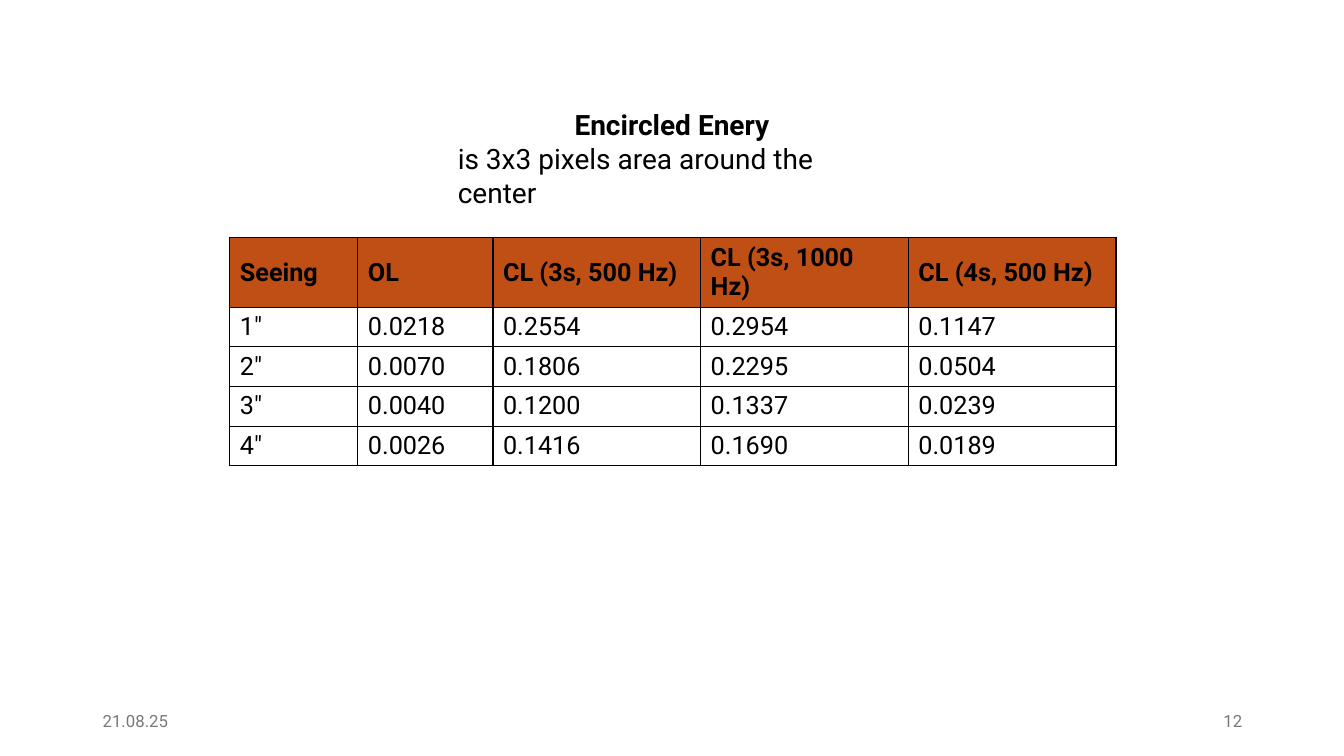
from lxml import etree
from pptx import Presentation
from pptx.dml.color import RGBColor
from pptx.enum.text import MSO_ANCHOR as Anchor, MSO_AUTO_SIZE as AutoSize, PP_ALIGN as Align
from pptx.oxml.ns import qn
from pptx.util import Inches, Pt

FONT = "Roboto"
COLOURS = {"text": "000000", "footer": "797979", "header": "C04F15", "border": "000000"}
COLUMN_WIDTHS = [1.27, 1.34, 2.06, 2.06, 2.06]
HEADER_HEIGHT, ROW_HEIGHT = 0.68, 0.39
ENERGY_ROWS = [
    ["Seeing", "OL", "CL (3s, 500 Hz)", "CL (3s, 1000 Hz)", "CL (4s, 500 Hz)"],
    ["1″", "0.0218", "0.2554", "0.2954", "0.1147"],
    ["2″", "0.0070", "0.1806", "0.2295", "0.0504"],
    ["3″", "0.0040", "0.1200", "0.1337", "0.0239"],
    ["4″", "0.0026", "0.1416", "0.1690", "0.0189"],
]


def colour(name):
    return RGBColor.from_string(COLOURS[name])


def style_para(para, size, bold=False, tint="text", align=Align.LEFT):
    para.alignment = align
    para.font.name = FONT
    para.font.size = Pt(size)
    para.font.bold = bold
    para.font.color.rgb = colour(tint)


def add_heading(page, title, subtitle):
    box = page.shapes.title
    box.left, box.top, box.width, box.height = (Inches(n) for n in (4.44, 1.02, 4.45, 0.77))
    frame = box.text_frame
    frame.word_wrap = True
    frame.auto_size = AutoSize.NONE
    frame.vertical_anchor = Anchor.TOP
    frame.text = f"{title}\n{subtitle}"
    style_para(frame.paragraphs[0], 20, bold=True, align=Align.CENTER)
    style_para(frame.paragraphs[1], 20)


def add_footer(page, left, text, align):
    box = page.shapes.add_textbox(Inches(left), Inches(6.95), Inches(3), Inches(0.4))
    frame = box.text_frame
    frame.word_wrap = True
    frame.vertical_anchor = Anchor.MIDDLE
    frame.text = text
    style_para(frame.paragraphs[0], 12, tint="footer", align=align)


def add_borders(cell):
    properties = cell._tc.get_or_add_tcPr()
    for position, side in enumerate(("a:lnL", "a:lnR", "a:lnT", "a:lnB")):
        line = etree.Element(qn(side), w=str(Pt(1)))
        fill = etree.SubElement(line, qn("a:solidFill"))
        etree.SubElement(fill, qn("a:srgbClr"), val=COLOURS["border"])
        properties.insert(position, line)


def fill_cell(cell, text, is_header):
    cell.text = text
    cell.vertical_anchor = Anchor.MIDDLE
    style_para(cell.text_frame.paragraphs[0], 18, bold=is_header)
    if is_header:
        cell.fill.solid()
        cell.fill.fore_color.rgb = colour("header")
    else:
        cell.fill.background()
    add_borders(cell)


def add_energy_table(page):
    heights = [HEADER_HEIGHT] + [ROW_HEIGHT] * (len(ENERGY_ROWS) - 1)
    table = page.shapes.add_table(
        len(ENERGY_ROWS), len(COLUMN_WIDTHS), Inches(2.28), Inches(2.36),
        Inches(sum(COLUMN_WIDTHS)), Inches(sum(heights)),
    ).table
    table.horz_banding = False
    for column, width in zip(table.columns, COLUMN_WIDTHS):
        column.width = Inches(width)
    for index, (row, height, values) in enumerate(zip(table.rows, heights, ENERGY_ROWS)):
        row.height = Inches(height)
        for cell, value in zip(row.cells, values):
            fill_cell(cell, value, index == 0)


def main():
    deck = Presentation()
    deck.slide_width, deck.slide_height = Inches(13.33), Inches(7.5)
    page = deck.slides.add_slide(deck.slide_layouts.get_by_name("Title Only"))
    add_heading(page, "Encircled Enery", "is 3x3 pixels area around the center")
    add_energy_table(page)
    add_footer(page, 0.92, "21.08.25", Align.LEFT)
    add_footer(page, 9.42, "12", Align.RIGHT)
    deck.save("out.pptx")


if __name__ == "__main__":
    main()
